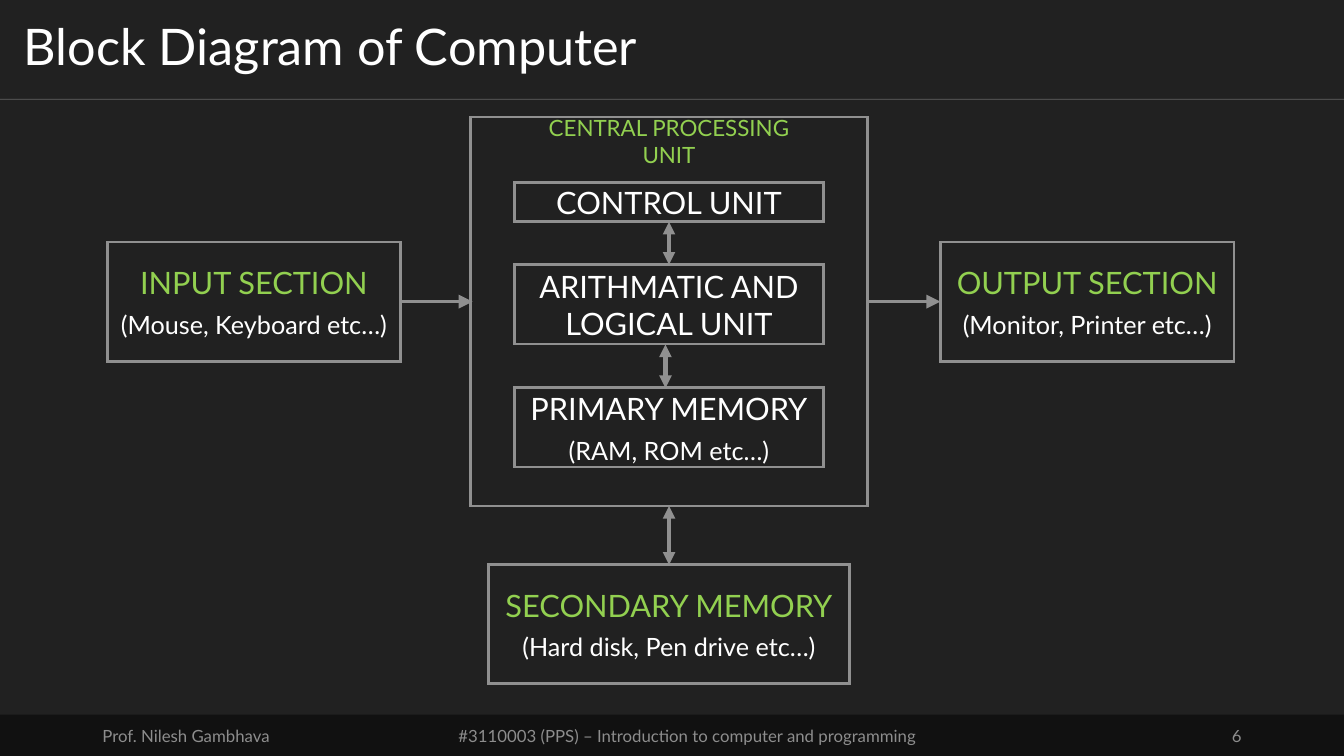
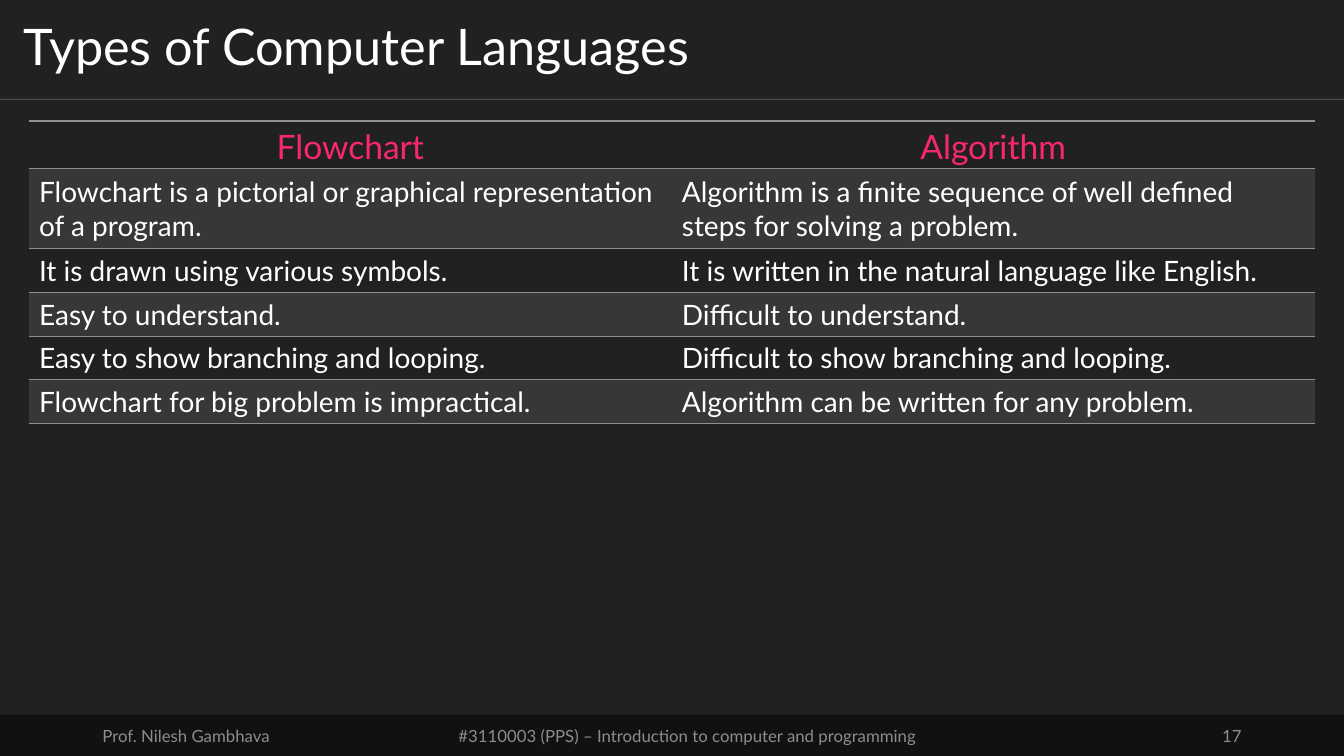
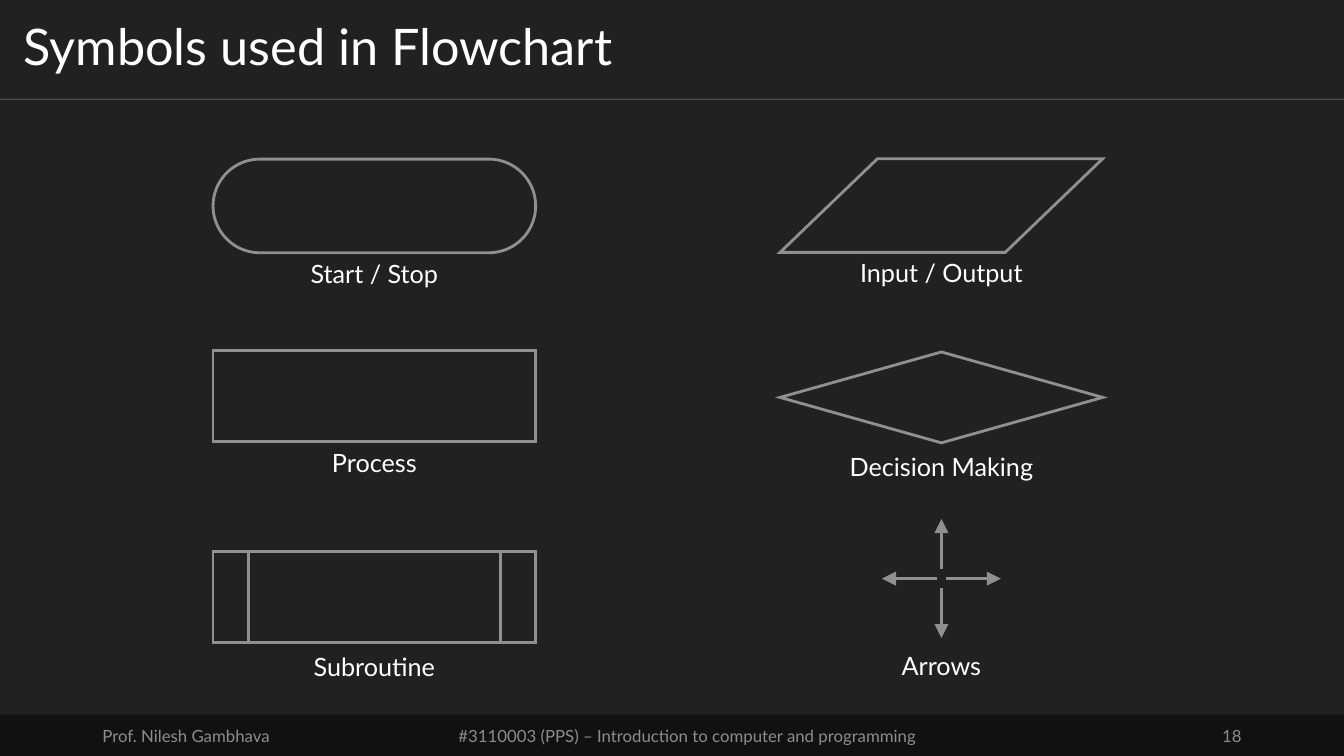
from dataclasses import dataclass

from lxml.etree import SubElement
from pptx import Presentation
from pptx.dml.color import RGBColor as Rgb
from pptx.enum.shapes import MSO_CONNECTOR as Connector, MSO_SHAPE as Shape
from pptx.enum.text import MSO_ANCHOR as Anchor, PP_ALIGN as Align
from pptx.oxml.ns import qn
from pptx.util import Cm, Pt


@dataclass(frozen=True)
class Theme:
    font: str = "Lato"
    backdrop: Rgb = Rgb.from_string("212121")
    band: Rgb = Rgb.from_string("111111")
    stripe: Rgb = Rgb.from_string("373737")
    outline: Rgb = Rgb.from_string("909090")
    muted: Rgb = Rgb.from_string("8D8D8D")
    text: Rgb = Rgb.from_string("FFFFFF")
    green: Rgb = Rgb.from_string("92D050")
    pink: Rgb = Rgb.from_string("F92672")
    title_size: Pt = Pt(36)
    header_size: Pt = Pt(24)
    block_size: Pt = Pt(22)
    cell_size: Pt = Pt(20)
    detail_size: Pt = Pt(18)
    label_size: Pt = Pt(16)
    footer_size: Pt = Pt(12)


theme = Theme()


def add_box(page, kind, place, lines=(), outlined=True, align=Align.CENTER):
    place = [Cm(length) for length in place]
    if kind is None:
        box = page.shapes.add_textbox(*place)
    else:
        box = page.shapes.add_shape(kind, *place)
        box.shadow.inherit = False
        box.fill.background()
        if outlined:
            box.line.color.rgb = theme.outline
            box.line.width = Pt(2)
            SubElement(box.element.spPr.find(qn("a:ln")), qn("a:miter"), lim="800000")
        else:
            box.line.fill.background()
    frame = box.text_frame
    frame.word_wrap = True
    frame.vertical_anchor = Anchor.MIDDLE
    for index, (text, size, color) in enumerate(lines):
        para = frame.add_paragraph() if index else frame.paragraphs[0]
        para.text = text
        para.alignment = align
        if index:
            para.space_before = Pt(6)
        para.font.name = theme.font
        para.font.size = size
        para.font.color.rgb = color
    return box


def add_line(page, start, end, width=2, color=theme.outline, heads=("tailEnd",),
             head_size="lg"):
    line = page.shapes.add_connector(
        Connector.STRAIGHT, *[Cm(length) for length in (*start, *end)])
    line.line.color.rgb = color
    line.line.width = Pt(width)
    outline = line.element.spPr.find(qn("a:ln"))
    for head in heads:
        SubElement(outline, qn(f"a:{head}"), type="triangle", w=head_size, len=head_size)
    SubElement(line.element.spPr, qn("a:effectLst"))
    return line


deck = Presentation()
deck.slide_width = Cm(33.87)
deck.slide_height = Cm(19.05)

pages = []
for title_text, number in (
    ("Block Diagram of Computer", "6"),
    ("Types of Computer Languages", "17"),
    ("Symbols used in Flowchart", "18"),
):
    page = deck.slides.add_slide(deck.slide_layouts[5])
    pages.append(page)

    backdrop = add_box(page, Shape.RECTANGLE, (0, 0, 33.87, 19.05), outlined=False)
    backdrop.fill.solid()
    backdrop.fill.fore_color.rgb = theme.backdrop

    divider = add_line(page, (0, 2.5), (33.87, 2.5), 0.5, theme.text, ())
    divider_color = divider.element.spPr.find(".//" + qn("a:srgbClr"))
    SubElement(divider_color, qn("a:alpha"), val="30000")

    band = add_box(page, Shape.ROUNDED_RECTANGLE, (0, 18.01, 33.87, 1.04), outlined=False)
    band.adjustments[0] = 0
    band.fill.solid()
    band.fill.fore_color.rgb = theme.band
    for left, width, text, align in (
        (2.33, 7.62, "Prof. Nilesh Gambhava", Align.LEFT),
        (11.23, 12.19, "#3110003 (PPS) – Introduction to computer and programming",
         Align.CENTER),
        (23.92, 7.62, number, Align.RIGHT),
    ):
        add_box(page, None, (left, 18.03, width, 1.02),
                [(text, theme.footer_size, theme.muted)], align=align)

    title = page.shapes.title
    page.shapes.element.append(title.element)
    title.left, title.top = Cm(0), Cm(0)
    title.width, title.height = deck.slide_width, Cm(2.5)
    frame = title.text_frame
    frame.margin_left = frame.margin_right = Cm(0.6)
    frame.margin_top = frame.margin_bottom = Cm(0.3)
    frame.vertical_anchor = Anchor.MIDDLE
    frame.text = title_text
    para = frame.paragraphs[0]
    para.alignment = Align.LEFT
    para.line_spacing = 0.9
    para.font.name = theme.font
    para.font.size = theme.title_size
    para.font.color.rgb = theme.text

diagram_page, table_page, symbol_page = pages

blocks = {}
for name, place, heading, color, detail in (
    ("input", (2.7, 6.1, 7.4, 3), "INPUT SECTION", theme.green,
     "(Mouse, Keyboard etc…)"),
    ("output", (23.7, 6.1, 7.4, 3), "OUTPUT SECTION", theme.green,
     "(Monitor, Printer etc…)"),
    ("processor", (11.86, 2.95, 10, 9.8), "", theme.green, ""),
    ("secondary", (12.31, 14.23, 9.1, 3), "SECONDARY MEMORY", theme.green,
     "(Hard disk, Pen drive etc…)"),
    ("control", (12.96, 4.59, 7.8, 1), "CONTROL UNIT", theme.text, ""),
    ("logic", (12.96, 6.67, 7.8, 2), "ARITHMATIC AND LOGICAL UNIT", theme.text, ""),
    ("primary", (12.96, 9.77, 7.8, 2), "PRIMARY MEMORY", theme.text,
     "(RAM, ROM etc…)"),
):
    lines = [(heading, theme.block_size, color), (detail, theme.detail_size, theme.text)]
    blocks[name] = add_box(diagram_page, Shape.FLOWCHART_PROCESS, place,
                           [line for line in lines if line[0]])

add_box(diagram_page, Shape.FLOWCHART_PROCESS, (12.96, 3.05, 7.8, 1),
        [("CENTRAL PROCESSING UNIT", theme.label_size, theme.green)], outlined=False)

input_arrow = add_line(diagram_page, (10.1, 7.6), (11.91, 7.6))
input_arrow.begin_connect(blocks["input"], 3)
output_arrow = add_line(diagram_page, (21.86, 7.6), (23.7, 7.6))
output_arrow.end_connect(blocks["output"], 1)

both_heads = ("headEnd", "tailEnd")
for upper, lower in (("processor", "secondary"), ("control", "logic")):
    arrow = add_line(diagram_page, (16.86, 5.59), (16.86, 6.67), 3,
                     heads=both_heads, head_size="med")
    arrow.begin_connect(blocks[upper], 2)
    arrow.end_connect(blocks[lower], 0)
add_line(diagram_page, (16.77, 8.68), (16.77, 9.78), 3,
         heads=both_heads, head_size="med")

for row_index, (top, frame_height, row_height, texts) in enumerate((
    (3.05, 1.27, 1.04, ("Flowchart", "Algorithm")),
    (4.24, 2.03, 2.03, (
        "Flowchart is a pictorial or graphical representation of a program.",
        "Algorithm is a finite sequence of well defined steps for solving a problem.")),
    (6.27, 1.1, 1.02, ("It is drawn using various symbols.",
                       "It is written in the natural language like English.")),
    (7.37, 1.1, 1.02, ("Easy to understand.", "Difficult to understand.")),
    (8.47, 1.1, 1.02, ("Easy to show branching and looping.",
                       "Difficult to show branching and looping.")),
    (9.57, 1.1, 1.02, ("Flowchart for big problem is impractical.",
                       "Algorithm can be written for any problem.")),
)):
    is_header = row_index == 0
    table_frame = table_page.shapes.add_table(
        1, 2, Cm(0.73), Cm(top), Cm(32.4), Cm(frame_height))
    table = table_frame.table
    table.first_row = table.horz_banding = False
    table.rows[0].height = Cm(row_height)
    table_frame.height = Cm(frame_height)
    for cell, text in zip(table.iter_cells(), texts):
        cell.vertical_anchor = Anchor.TOP if is_header else Anchor.MIDDLE
        cell.text = text
        para = cell.text_frame.paragraphs[0]
        para.alignment = Align.CENTER if is_header else Align.LEFT
        para.font.name = theme.font
        para.font.size = theme.header_size if is_header else theme.cell_size
        para.font.color.rgb = theme.pink if is_header else theme.text
        properties = cell._tc.get_or_add_tcPr()
        for side in ("lnL", "lnR"):
            SubElement(SubElement(properties, qn(f"a:{side}")), qn("a:noFill"))
        for side in ("lnT", "lnB"):
            border = SubElement(properties, qn(f"a:{side}"), w=str(Pt(1)))
            border_fill = SubElement(border, qn("a:solidFill"))
            SubElement(border_fill, qn("a:srgbClr"), val=str(theme.outline))
        if row_index % 2:
            cell.fill.solid()
            cell.fill.fore_color.rgb = theme.stripe
        else:
            cell.fill.background()

left_column, right_column, symbol_width = 5.37, 19.66, 8.13
for kind, left, top, height, adjustment in (
    (Shape.RECTANGLE, left_column, 8.83, 2.29, None),
    (Shape.FLOWCHART_DECISION, right_column, 8.87, 2.29, None),
    (Shape.FLOWCHART_PROCESS, left_column, 13.9, 2.29, None),
    (Shape.ROUNDED_RECTANGLE, left_column, 4.01, 2.36, 0.5),
    (Shape.PARALLELOGRAM, right_column, 4, 2.36, 1.04),
):
    symbol = add_box(symbol_page, kind, (left, top, symbol_width, height))
    if adjustment:
        symbol.adjustments[0] = adjustment
add_box(symbol_page, Shape.FLOWCHART_PROCESS,
        (left_column + 0.89, 13.9, symbol_width - 1.78, 2.29))

center_x, center_y = right_column + symbol_width / 2, 14.58
for step_x, step_y, gap in ((0, 1, 0.23), (1, 0, 0.12), (-1, 0, 0.12), (0, -1, 0.23)):
    start, end = [(center_x + step_x * reach, center_y + step_y * reach)
                  for reach in (gap, 1.5)]
    add_line(symbol_page, start, end)

for left, top, caption in (
    (left_column, 16.28, "Subroutine"),
    (left_column, 6.38, "Start / Stop"),
    (right_column, 6.36, "Input / Output"),
    (left_column, 11.15, "Process"),
    (right_column, 11.24, "Decision Making"),
    (right_column, 16.26, "Arrows"),
):
    add_box(symbol_page, None, (left, top, symbol_width, 1.02),
            [(caption, theme.detail_size, theme.text)])

deck.save("out.pptx")
